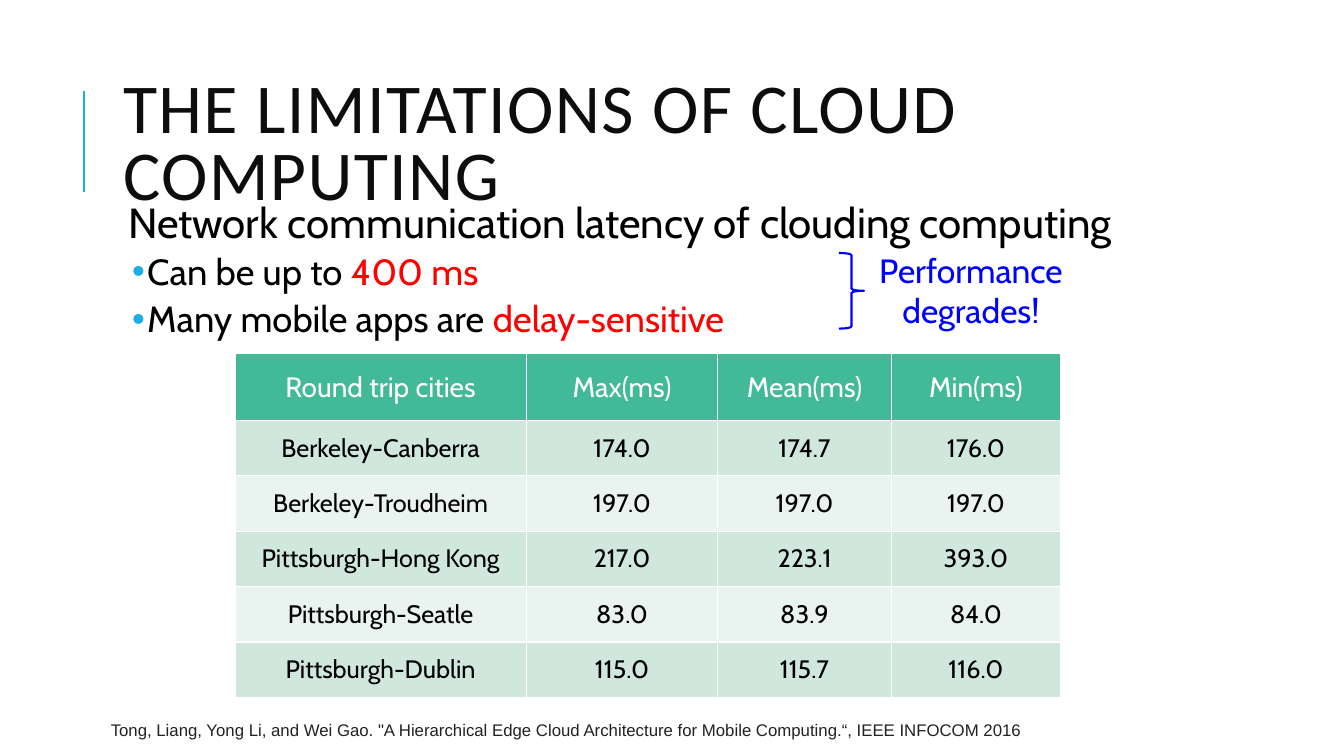
from dataclasses import dataclass

from lxml import etree
from pptx import Presentation
from pptx import util as u
from pptx.dml.color import RGBColor
from pptx.enum import shapes, text
from pptx.oxml import ns


@dataclass(frozen=True)
class Theme:
    body: str = "Cabin"
    head: str = "Calibri"
    cite: str = "Arial"
    ink: str = "000000"
    dark: str = "0D0D0D"
    gray: str = "222222"
    sky: str = "1CADE4"
    red: str = "FF0000"
    blue: str = "0000FF"
    white: str = "FFFFFF"
    green: str = "42BA97"
    bands: tuple = ("CFE7DD", "E9F3EF")
    title: int = 50
    lead: int = 30
    item: int = 26
    note: int = 24
    label: int = 20
    cell: int = 18
    small: int = 12


def rgb(code):
    return RGBColor.from_string(code)


def add(node, tag, **attrs):
    return etree.SubElement(node, ns.qn(tag), attrs)


def write(para, words, size, color, font, align=None, line=None,
          before=0, after=0, track=None):
    """Fill a paragraph; words is a string or a list of (string, color) pairs."""
    para.alignment = align
    para.line_spacing = line
    para.space_before, para.space_after = u.Pt(before), u.Pt(after)
    pairs = [(words, color)] if isinstance(words, str) else words
    for part, tint in pairs:
        run = para.add_run()
        run.text = part
        run.font.size, run.font.name = u.Pt(size), font
        run.font.bold = False
        run.font.color.rgb = rgb(tint)
        if track:
            run.font._element.set("spc", str(track * 100))


def indent(para, left, hang=0, dot=None, color=None):
    """Set the indents and the bullet, or switch the bullet off."""
    props = para._p.get_or_add_pPr()
    props.set("marL", str(u.Inches(left)))
    props.set("indent", str(u.Inches(-hang)))
    if dot:
        add(add(props, "a:buClr"), "a:srgbClr", val=color)
        add(props, "a:buFont", typeface="Arial")
        add(props, "a:buChar", char=dot)
    else:
        add(props, "a:buNone")


def edge(cell, color, width=1):
    """Draw all four borders of a table cell."""
    props = cell._tc.get_or_add_tcPr()
    for spot, side in enumerate(("a:lnL", "a:lnR", "a:lnT", "a:lnB")):
        line = add(props, side, w=str(u.Pt(width)))
        add(add(line, "a:solidFill"), "a:srgbClr", val=color)
        props.insert(spot, line)


class Deck:
    def __init__(self, theme):
        self.theme = theme
        self.file = Presentation()
        self.file.slide_width = u.Inches(13.33)
        self.file.slide_height = u.Inches(7.5)
        self.slide = self.file.slides.add_slide(self.file.slide_layouts[1])

    def place(self, shape, box):
        shape.left, shape.top, shape.width, shape.height = map(u.Inches, box)
        frame = shape.text_frame
        frame.auto_size = text.MSO_AUTO_SIZE.NONE
        frame.word_wrap = True
        return frame

    def title(self, words, box):
        t = self.theme
        frame = self.place(self.slide.shapes.title, box)
        frame.vertical_anchor = text.MSO_ANCHOR.MIDDLE
        write(frame.paragraphs[0], words, t.title, t.dark, t.head,
              align=text.PP_ALIGN.LEFT, line=0.8, track=1)

    def list(self, lead, items, box):
        t = self.theme
        frame = self.place(self.slide.placeholders[1], box)
        frame.margin_left = frame.margin_right = u.Inches(0.05)
        frame.margin_top = frame.margin_bottom = u.Inches(0.05)
        frame.vertical_anchor = text.MSO_ANCHOR.TOP
        first = frame.paragraphs[0]
        indent(first, 0.1)
        write(first, lead, t.lead, t.ink, t.body, line=0.9, after=2)
        for item in items:
            para = frame.add_paragraph()
            para.level = 1
            indent(para, 0.29, 0.15, "•", t.sky)
            write(para, item, t.item, t.ink, t.body,
                  line=0.9, before=2, after=4)

    def text(self, lines, box, wrap=True, **look):
        shape = self.slide.shapes.add_textbox(*map(u.Inches, box))
        frame = shape.text_frame
        frame.word_wrap = wrap
        for rank, words in enumerate(lines):
            para = frame.add_paragraph() if rank else frame.paragraphs[0]
            write(para, words, **look)

    def rule(self, x, top, end):
        line = self.slide.shapes.add_connector(
            shapes.MSO_CONNECTOR.STRAIGHT, *map(u.Inches, (x, end, x, top)))
        line.line.color.rgb = rgb(self.theme.sky)
        line.line.width = u.Pt(1.5)
        add(line._element.spPr, "a:effectLst")

    def brace(self, box):
        shape = self.slide.shapes.add_shape(
            shapes.MSO_SHAPE.RIGHT_BRACE, *map(u.Inches, box))
        shape.shadow.inherit = False
        shape.fill.background()
        shape.line.color.rgb = rgb(self.theme.blue)
        shape.line.width = u.Pt(1.5)

    def table(self, rows, box, widths, heights):
        t = self.theme
        grid = self.slide.shapes.add_table(
            len(rows), len(widths), *map(u.Inches, box)).table
        for col, width in zip(grid.columns, widths):
            col.width = u.Inches(width)
        for r, row in enumerate(rows):
            grid.rows[r].height = u.Inches(heights[r])
            fill = t.bands[(r - 1) % 2] if r else t.green
            size, color = (t.cell, t.ink) if r else (t.label, t.white)
            for c, words in enumerate(row):
                cell = grid.cell(r, c)
                cell.vertical_anchor = text.MSO_ANCHOR.MIDDLE
                cell.fill.solid()
                cell.fill.fore_color.rgb = rgb(fill)
                edge(cell, t.white)
                write(cell.text_frame.paragraphs[0], words, size, color,
                      t.body, align=text.PP_ALIGN.CENTER)


def main():
    t = Theme()
    deck = Deck(t)
    deck.rule(0.83, 0.9, 1.9)
    deck.title("THE LIMITATIONS OF CLOUD COMPUTING", (1.12, 0.64, 10.63, 1.64))
    deck.list("Network communication latency of clouding computing", [
        [("Can be up to ", t.ink), ("400 ms", t.red)],
        [("Many mobile apps are", t.ink), (" delay-sensitive", t.red)],
    ], (1.12, 1.96, 10.63, 4.4))
    deck.table([
        ("Round trip cities", "Max(ms)", "Mean(ms)", "Min(ms)"),
        ("Berkeley-Canberra", "174.0", "174.7", "176.0"),
        ("Berkeley-Troudheim", "197.0", "197.0", "197.0"),
        ("Pittsburgh-Hong Kong", "217.0", "223.1", "393.0"),
        ("Pittsburgh-Seatle", "83.0", "83.9", "84.0"),
        ("Pittsburgh-Dublin", "115.0", "115.7", "116.0"),
    ], (2.33, 3.51, 8.19, 3.42), (2.89, 1.9, 1.72, 1.68), [0.66] + [0.55] * 5)
    deck.text(["Performance", "degrades!"], (8.57, 2.43, 2.12, 0.91),
              wrap=False, size=t.note, color=t.blue, font=t.body,
              align=text.PP_ALIGN.CENTER)
    deck.brace((8.32, 2.51, 0.25, 0.75))
    deck.text(['Tong, Liang, Yong Li, and Wei Gao. "A Hierarchical Edge Cloud '
               'Architecture for Mobile Computing.“, IEEE INFOCOM 2016'],
              (1, 7.09, 9.89, 0.3), size=t.small, color=t.gray, font=t.cite)
    deck.file.save("out.pptx")


if __name__ == "__main__":
    main()
